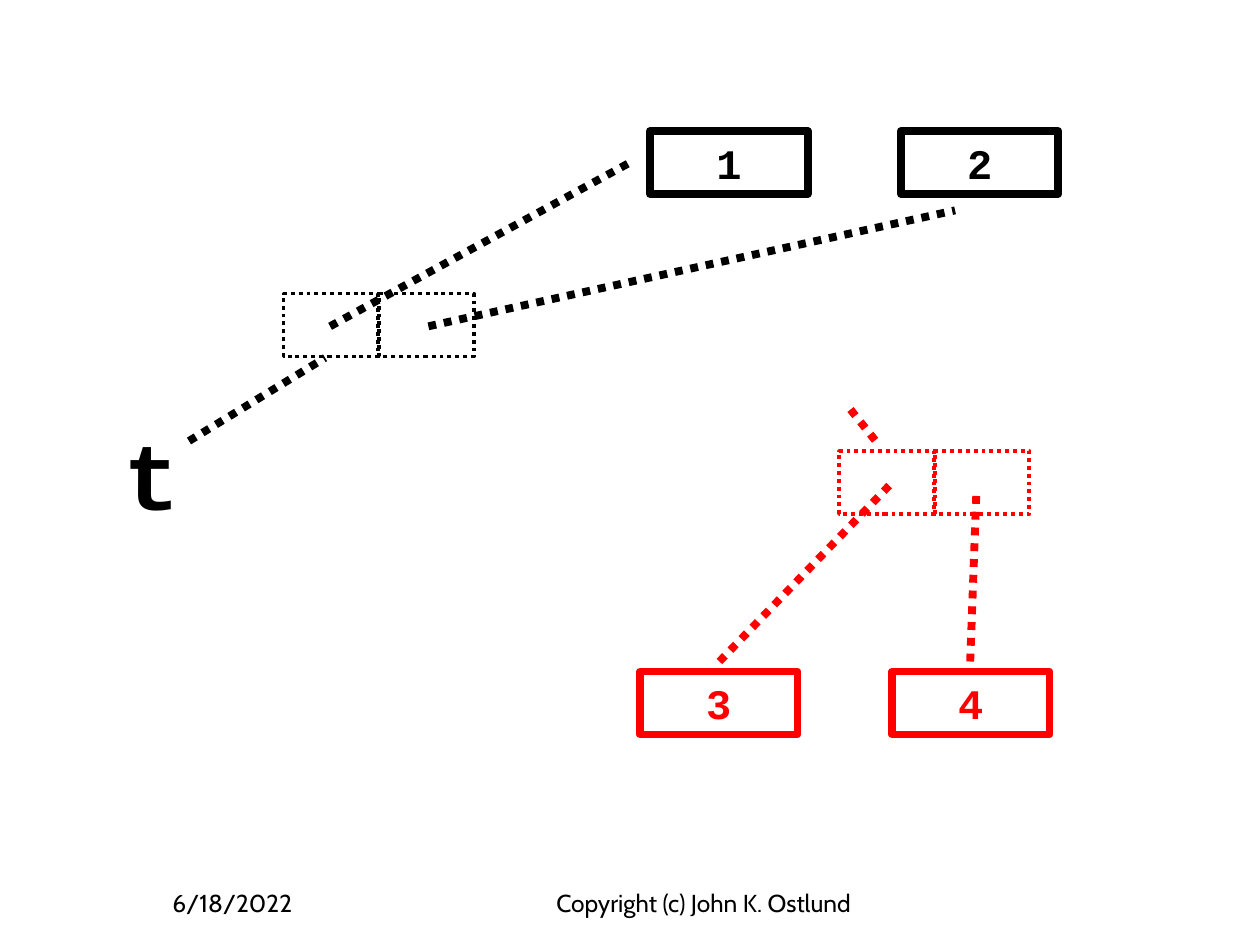
from typing import NamedTuple

from pptx import Presentation
from pptx.dml.color import RGBColor
from pptx.enum.dml import MSO_LINE
from pptx.enum.shapes import MSO_CONNECTOR, MSO_SHAPE
from pptx.enum.text import MSO_ANCHOR, MSO_AUTO_SIZE, PP_ALIGN
from pptx.oxml.ns import qn
from pptx.util import Inches, Pt
from lxml.etree import SubElement

BLACK = RGBColor(0x00, 0x00, 0x00)
RED = RGBColor(0xFF, 0x00, 0x00)
WHITE = RGBColor(0xFF, 0xFF, 0xFF)
CELL_PITCH = 0.76


class Label(NamedTuple):
    text: str
    left: float
    top: float
    height: float
    size: int
    color: RGBColor
    border: RGBColor


class Pair(NamedTuple):
    left: float
    top: float
    color: RGBColor


class Link(NamedTuple):
    start: tuple[float, float]
    end: tuple[float, float]
    color: RGBColor


class Footer(NamedTuple):
    text: str
    left: float
    width: float
    align: PP_ALIGN


LABELS = [
    Label("1", 5.16, 1.04, 0.5, 24, BLACK, BLACK),
    Label("2", 7.15, 1.04, 0.5, 24, BLACK, BLACK),
    Label("3", 5.08, 5.33, 0.5, 24, RED, RED),
    Label("4", 7.08, 5.33, 0.5, 24, RED, RED),
    Label("t", 0.58, 3.25, 1.01, 54, BLACK, WHITE),
]
PAIRS = [Pair(2.25, 2.33, BLACK), Pair(6.66, 3.58, RED)]
LINKS = [
    Link((2.62, 2.59), (5, 1.29), BLACK),
    Link((3.4, 2.59), (7.58, 1.67), BLACK),
    Link((1.5, 3.5), (2.58, 2.84), BLACK),
    Link((5.71, 5.25), (7.08, 3.83), RED),
    Link((7.7, 5.25), (7.75, 3.88), RED),
    Link((6.75, 3.25), (6.95, 3.5), RED),
]
FOOTERS = [
    Footer("6/18/2022", 1.27, 2.08, PP_ALIGN.LEFT),
    Footer("Copyright (c) John K. Ostlund", 4, 3.17, PP_ALIGN.CENTER),
]

deck = Presentation()
deck.slide_width, deck.slide_height = Inches(10), Inches(7.5)
page = deck.slides.add_slide(deck.slide_layouts[6])


def write(frame, text: str, font: str, size: int, color: RGBColor,
          align: PP_ALIGN, bold: bool = False) -> None:
    frame.text = text
    para = frame.paragraphs[0]
    para.alignment = align
    span = para.runs[0]
    span.font.name = font
    span.font.size = Pt(size)
    span.font.bold = bold
    span.font.color.rgb = color


def add_box(left: float, top: float, width: float, height: float,
            color: RGBColor, weight: float):
    box = page.shapes.add_shape(MSO_SHAPE.RECTANGLE, Inches(left), Inches(top),
                                Inches(width), Inches(height))
    box.shadow.inherit = False
    box.fill.background()
    box.line.color.rgb = color
    box.line.width = Pt(weight)
    return box


def add_label(label: Label) -> None:
    box = add_box(label.left, label.top, 1.25, label.height, label.border, 4.5)
    frame = box.text_frame
    frame.word_wrap = True
    frame.auto_size = MSO_AUTO_SIZE.SHAPE_TO_FIT_TEXT
    frame.vertical_anchor = MSO_ANCHOR.MIDDLE
    write(frame, label.text, "Courier New", label.size, label.color,
          PP_ALIGN.CENTER, bold=True)


def add_pair(pair: Pair) -> None:
    for column in range(2):
        cell = add_box(pair.left + column * CELL_PITCH, pair.top, 0.75, 0.5,
                       pair.color, 2.25)
        cell.line.dash_style = MSO_LINE.ROUND_DOT


def add_link(link: Link) -> None:
    line = page.shapes.add_connector(
        MSO_CONNECTOR.STRAIGHT, *map(Inches, link.start + link.end))
    line.line.color.rgb = link.color
    line.line.width = Pt(4.5)
    line.line.dash_style = MSO_LINE.ROUND_DOT
    SubElement(line._element.spPr, qn("a:effectLst"))


def add_footer(footer: Footer) -> None:
    box = page.shapes.add_textbox(Inches(footer.left), Inches(6.83),
                                  Inches(footer.width), Inches(0.5))
    frame = box.text_frame
    frame.word_wrap = True
    frame.vertical_anchor = MSO_ANCHOR.BOTTOM
    write(frame, footer.text, "Cabin", 14, BLACK, footer.align)


# Date and copyright
for footer in FOOTERS:
    add_footer(footer)

# Tree leaves and the variable name
for label in LABELS:
    add_label(label)

# Two-cell nodes
for pair in PAIRS:
    add_pair(pair)

# Dotted links between the parts
for link in LINKS:
    add_link(link)

deck.save("out.pptx")
